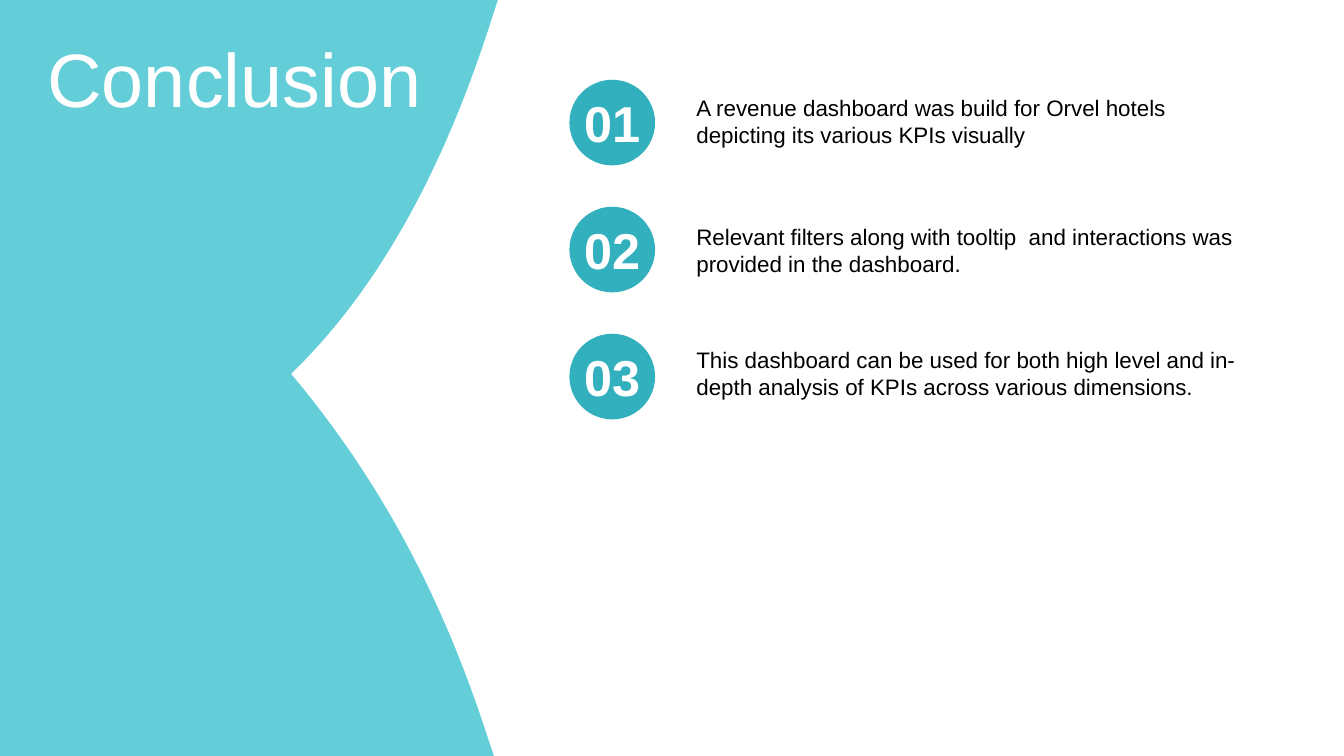
"""Build the conclusion slide with three numbered findings."""
from dataclasses import dataclass

from pptx import Presentation
from pptx import util as u
from pptx.dml import color
from pptx.enum import shapes, text


@dataclass(frozen=True)
class Theme:
    background: str = "64CED8"
    panel: str = "FFFFFF"
    badge: str = "32B0BE"
    light: str = "FFFFFF"
    body: str = "000000"
    font: str = "Arial"
    title_size: int = 54
    badge_size: int = 36
    body_size: int = 16


THEME = Theme()
WIDTH, HEIGHT = 33.87, 19.05
FIRST_TOP, PITCH, DIAMETER = 2.01, 3.2, 2.16
LOWER_CURVE = [(12.29, 18.57), (11.15, 15.04), (9.58, 12.09), (7.34, 9.42)]
UPPER_CURVE = [(7.34, 9.42), (9.5, 7.34), (11.13, 4.37), (12.32, 0.71)]
FINDINGS = [
    (2.26, "A revenue dashboard was build for Orvel hotels depicting its various KPIs visually"),
    (5.49, "Relevant filters along with tooltip  and interactions was provided in the dashboard."),
    (8.61, "This dashboard can be used for both high level and in-depth analysis "
           "of KPIs across various dimensions."),
]


def paint(fill, rgb):
    fill.solid()
    fill.fore_color.rgb = color.RGBColor.from_string(rgb)


def style(p, size, rgb, align, bold=False):
    p.alignment = align
    p.font.name = THEME.font
    p.font.size = u.Pt(size)
    p.font.bold = bold
    p.font.color.rgb = color.RGBColor.from_string(rgb)


def curve_points(curve, steps=40):
    for i in range(steps + 1):
        t = i / steps
        weights = ((1 - t) ** 3, 3 * t * (1 - t) ** 2, 3 * t ** 2 * (1 - t), t ** 3)
        yield tuple(u.Cm(sum(w * pt[axis] for w, pt in zip(weights, curve)))
                    for axis in (0, 1))


def add_panel(s):
    corners = [(12.55, 0), (WIDTH, 0), (WIDTH, HEIGHT), (12.45, HEIGHT)]
    start, *rest = [(u.Cm(x), u.Cm(y)) for x, y in corners]
    builder = s.shapes.build_freeform(*start)
    builder.add_line_segments([*rest, *curve_points(LOWER_CURVE), *curve_points(UPPER_CURVE)])
    sp = builder.convert_to_shape()
    sp.shadow.inherit = False
    paint(sp.fill, THEME.panel)
    sp.line.fill.background()


def add_title(s, title):
    sp = s.shapes.title
    sp.left, sp.top, sp.width, sp.height = u.Cm(0.94), u.Cm(0.56), u.Cm(10.85), u.Cm(4.88)
    tf = sp.text_frame
    tf.text = title
    tf.vertical_anchor = text.MSO_ANCHOR.TOP
    tf.margin_top = u.Cm(0.24)
    style(tf.paragraphs[0], THEME.title_size, THEME.light, text.PP_ALIGN.LEFT)


def add_badge(group, number, top):
    sp = group.shapes.add_shape(shapes.MSO_SHAPE.OVAL, u.Cm(14.35), u.Cm(top),
                                u.Cm(DIAMETER), u.Cm(DIAMETER))
    sp.shadow.inherit = False
    paint(sp.fill, THEME.badge)
    sp.line.fill.background()
    tf = sp.text_frame
    tf.text = f"{number:02d}"
    tf.word_wrap = False
    tf.vertical_anchor = text.MSO_ANCHOR.MIDDLE
    tf.margin_left = tf.margin_right = 0
    style(tf.paragraphs[0], THEME.badge_size, THEME.light, text.PP_ALIGN.CENTER, True)


def add_finding(s, number, text_top, words):
    group = s.shapes.add_group_shape()
    sp = group.shapes.add_textbox(u.Cm(17.3), u.Cm(text_top), u.Cm(14.22), u.Cm(1.63))
    tf = sp.text_frame
    tf.text = words
    tf.word_wrap = True
    style(tf.paragraphs[0], THEME.body_size, THEME.body, text.PP_ALIGN.LEFT)
    add_badge(group, number, FIRST_TOP + (number - 1) * PITCH)


def main():
    prs = Presentation()
    prs.slide_width, prs.slide_height = u.Cm(WIDTH), u.Cm(HEIGHT)
    s = prs.slides.add_slide(prs.slide_layouts[5])
    paint(s.background.fill, THEME.background)
    add_panel(s)
    add_title(s, "Conclusion")
    for number, (text_top, words) in enumerate(FINDINGS, start=1):
        add_finding(s, number, text_top, words)
    prs.save("out.pptx")


if __name__ == "__main__":
    main()
